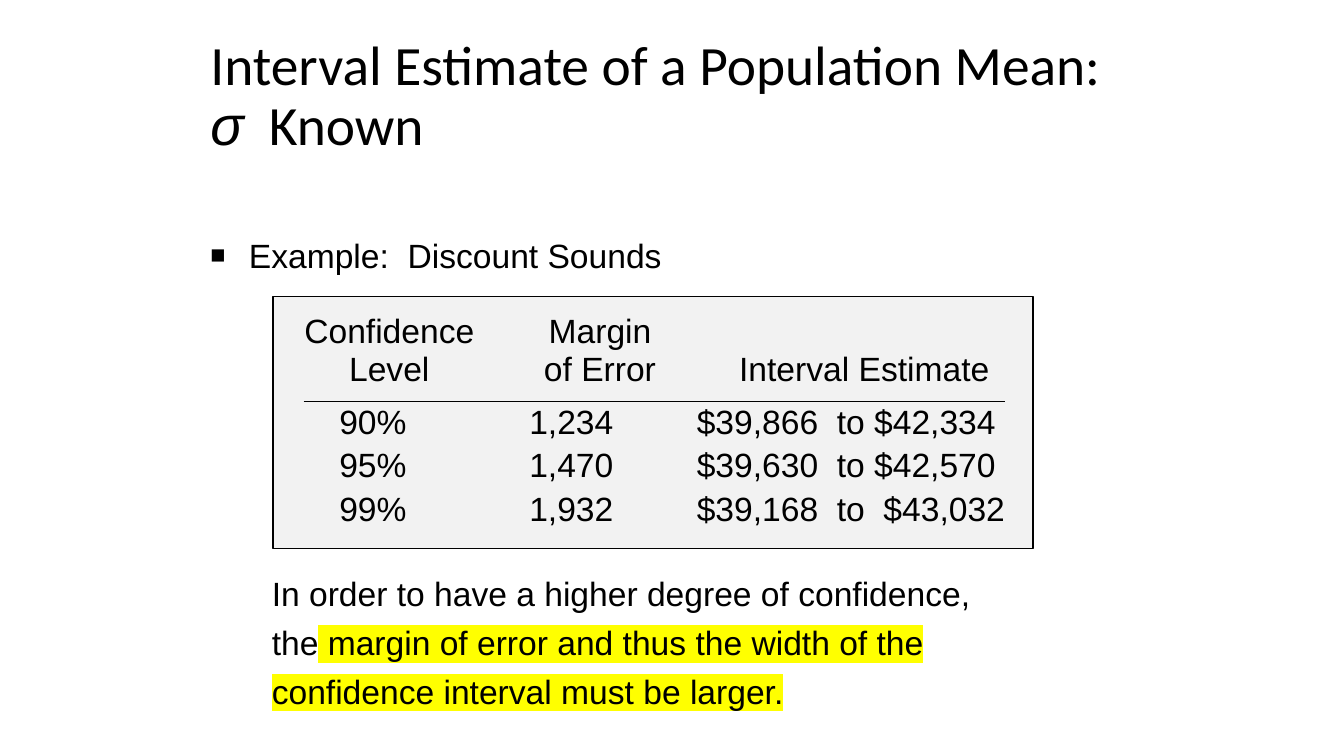
from pptx import Presentation
from pptx.dml.color import RGBColor
from pptx.enum.shapes import MSO_CONNECTOR, MSO_SHAPE
from pptx.enum.text import MSO_ANCHOR as Anchor, MSO_AUTO_SIZE as AutoSize, PP_ALIGN as Align
from pptx.oxml.ns import qn
from pptx.util import Cm, Pt
from lxml.etree import SubElement

BLACK = RGBColor(0x00, 0x00, 0x00)
PANEL_GREY = RGBColor(0xF2, 0xF2, 0xF2)
YELLOW = RGBColor(0xFF, 0xFF, 0x00)
PLAIN_TABLE = "{2D5ABB26-0587-4C30-8999-92F81FD0307C}"

TITLE_LINE = "Interval Estimate of a Population Mean:"
TITLE_SYMBOL = "σ"
TITLE_END = "  Known"
EXAMPLE = "Example:  Discount Sounds"
HEADINGS = [("Confidence", "Level"), ("Margin", "of Error"), ("Interval Estimate",)]
ROWS = [
    ("90%", "1,234", "$39,866  to $42,334"),
    ("95%", "1,470", "$39,630  to $42,570"),
    ("99%", "1,932", "$39,168  to  $43,032"),
]
CONCLUSION = [
    [("In order to have a higher degree of confidence,", None)],
    [("the", None), (" margin of error and thus the width of the", YELLOW)],
    [("confidence interval must be larger.", YELLOW)],
]

COLUMN_WIDTHS = (5.66, 4.32, 8)
HEADING_INSETS = ((0, 1.14), (0, 0.5), (0.5, 0))
VALUE_INSETS = ((1, 0), (0.13, 0), (0.03, 0))
HEADING_HEIGHT, VALUE_HEIGHT = 2.29, 1.09


def add_span(para, text, size=24, face="Arial", italic=False, highlight=None):
    """Add a formatted run of text to a paragraph."""
    span = para.add_run()
    span.text = text
    font = span.font
    font.size, font.name, font.italic = Pt(size), face, italic
    font.color.rgb = BLACK
    if highlight is not None:
        props = span._r.get_or_add_rPr()
        mark = SubElement(props, qn("a:highlight"))
        SubElement(mark, qn("a:srgbClr"), val=str(highlight))
        props.find(qn("a:latin")).addprevious(mark)


def place(shape, left, top, width, height):
    """Move and size a shape in centimetres."""
    shape.left, shape.top = Cm(left), Cm(top)
    shape.width, shape.height = Cm(width), Cm(height)


def fill_cell(cell, lines, insets, align, anchor, bottom):
    """Write centred or left-aligned lines into a table cell."""
    cell.fill.solid()
    cell.fill.fore_color.rgb = PANEL_GREY
    cell.margin_left, cell.margin_right = (Cm(inset) for inset in insets)
    cell.margin_top, cell.margin_bottom = Cm(0), Cm(bottom)
    cell.vertical_anchor = anchor
    for index, line in enumerate(lines):
        frame = cell.text_frame
        para = frame.add_paragraph() if index else frame.paragraphs[0]
        para.alignment = align
        add_span(para, line)


def add_title(page):
    """Fill the title placeholder."""
    title = page.shapes.title
    place(title, 5.05, 1.32, 24.05, 2.26)
    frame = title.text_frame
    frame.auto_size, frame.vertical_anchor = AutoSize.NONE, Anchor.MIDDLE
    para = frame.paragraphs[0]
    para.alignment, para.line_spacing = Align.LEFT, 0.9
    add_span(para, TITLE_LINE, size=39.6, face="Calibri")
    para.add_line_break()
    add_span(para, TITLE_SYMBOL, size=39.6, italic=True)
    add_span(para, TITLE_END, size=39.6, face="Calibri")


def add_example(page):
    """Fill the body placeholder with the square-bulleted example."""
    body = page.placeholders[1]
    place(body, 5.05, 5.79, 16.76, 1.4)
    body.text_frame.auto_size = AutoSize.NONE
    para = body.text_frame.paragraphs[0]
    para.space_before = Pt(0)
    props = para._p.get_or_add_pPr()
    props.set("marL", str(Cm(0.97)))
    props.set("indent", str(Cm(-0.97)))
    SubElement(props, qn("a:buSzPct"), val="75000")
    SubElement(props, qn("a:buFont"), typeface="Arial")
    SubElement(props, qn("a:buChar"), char="■")
    add_span(para, EXAMPLE)


def add_estimates(page):
    """Draw the panel, the table of estimates and the rule under its headings."""
    panel = page.shapes.add_shape(MSO_SHAPE.RECTANGLE, Cm(6.88), Cm(7.47), Cm(19.15), Cm(6.35))
    panel.shadow.inherit = False
    panel.fill.solid()
    panel.fill.fore_color.rgb = PANEL_GREY
    panel.line.color.rgb, panel.line.width = BLACK, Pt(1)

    holder = page.shapes.add_table(
        len(ROWS) + 1, len(HEADINGS), Cm(7.55), Cm(7.82), Cm(sum(COLUMN_WIDTHS)),
        Cm(HEADING_HEIGHT + len(ROWS) * VALUE_HEIGHT))
    next(holder.element.iter(qn("a:tableStyleId"))).text = PLAIN_TABLE
    table = holder.table
    table.horz_banding = False
    for column, width in zip(table.columns, COLUMN_WIDTHS):
        column.width = Cm(width)
    for index, row in enumerate(table.rows):
        row.height = Cm(VALUE_HEIGHT if index else HEADING_HEIGHT)
    for col, lines in enumerate(HEADINGS):
        fill_cell(table.cell(0, col), lines, HEADING_INSETS[col], Align.CENTER, Anchor.BOTTOM, 0.33)
        for row, values in enumerate(ROWS, 1):
            fill_cell(table.cell(row, col), [values[col]], VALUE_INSETS[col],
                      Align.LEFT, Anchor.MIDDLE, 0)

    rule = page.shapes.add_connector(MSO_CONNECTOR.STRAIGHT, Cm(7.65), Cm(10.11), Cm(25.32), Cm(10.11))
    rule.line.color.rgb, rule.line.width = BLACK, Pt(1)
    SubElement(rule.element.spPr, qn("a:effectLst"))


def add_conclusion(page):
    """Add the closing statement with its highlighted part."""
    box = page.shapes.add_textbox(Cm(6.6), Cm(14.67), Cm(20.02), Cm(3.02))
    frame = box.text_frame
    frame.word_wrap, frame.vertical_anchor = True, Anchor.MIDDLE
    for index, parts in enumerate(CONCLUSION):
        para = frame.add_paragraph() if index else frame.paragraphs[0]
        para.space_before = Pt(6 if index else 0)
        for text, highlight in parts:
            add_span(para, text, highlight=highlight)


def main():
    """Build the slide and save the deck."""
    deck = Presentation()
    deck.slide_width, deck.slide_height = Cm(33.87), Cm(19.05)
    page = deck.slides.add_slide(deck.slide_layouts[1])
    add_title(page)
    add_example(page)
    add_estimates(page)
    add_conclusion(page)
    deck.save("out.pptx")


if __name__ == "__main__":
    main()
